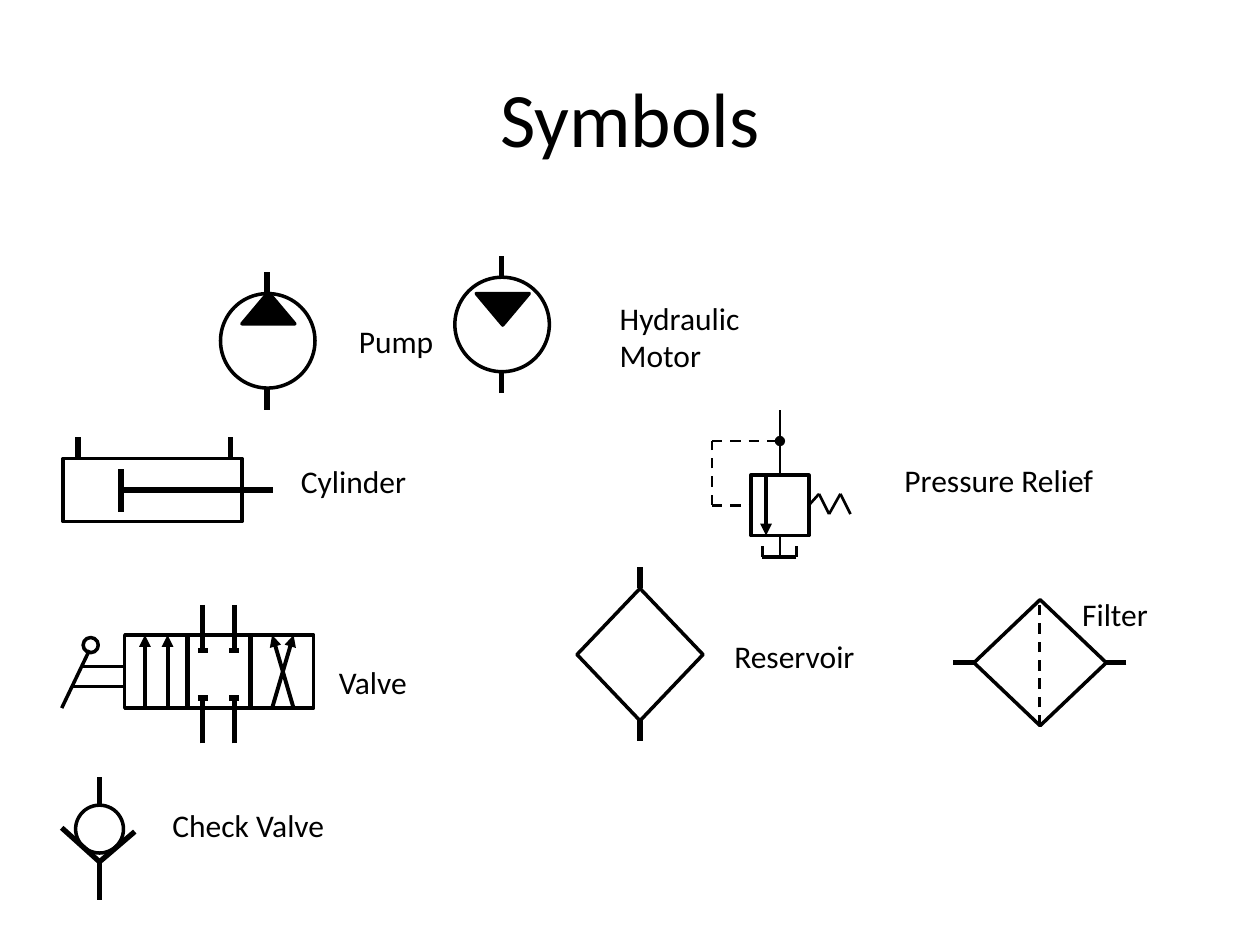
"""Build a slide of hydraulic circuit symbols with their labels."""
from lxml.etree import SubElement
from pptx import Presentation
from pptx.dml.color import RGBColor
from pptx.enum.dml import MSO_LINE_DASH_STYLE as Dash
from pptx.enum.shapes import MSO_CONNECTOR_TYPE as Link, MSO_SHAPE as Shape
from pptx.enum.text import MSO_ANCHOR as Anchor, MSO_AUTO_SIZE as Fit, PP_ALIGN as Align
from pptx.oxml.ns import qn
from pptx.util import Inches, Pt

BLACK, WHITE = (RGBColor.from_string(value) for value in ("000000", "FFFFFF"))
PORT, EDGE, ARROW, THIN = 3, 2, 2.25, 1.5


def outline(symbol, preset, box, fill=WHITE):
    body = symbol.shapes.add_shape(preset, *map(Inches, box))
    body.shadow.inherit = False
    body.fill.solid()
    body.fill.fore_color.rgb = fill
    body.line.color.rgb = BLACK
    body.line.width = Pt(EDGE)
    return body


def strokes(symbol, width, segments, tip=None, dash=None):
    for segment in segments:
        stroke = symbol.shapes.add_connector(Link.STRAIGHT, *map(Inches, segment))
        stroke.line.color.rgb = BLACK
        stroke.line.width = Pt(width)
        if dash:
            stroke.line.dash_style = dash
        properties = stroke._element.spPr
        if tip:
            SubElement(properties.find(qn("a:ln")), qn("a:tailEnd"), type=tip)
        SubElement(properties, qn("a:effectLst"))


deck = Presentation()
deck.slide_width, deck.slide_height = Inches(10), Inches(7.5)
slide = deck.slides.add_slide(deck.slide_layouts[5])

title = slide.shapes.title
title.left, title.top, title.width, title.height = map(Inches, (0.5, 0.3, 9, 1.25))
title.text_frame.text = "Symbols"
title.text_frame.vertical_anchor = Anchor.MIDDLE
heading = title.text_frame.paragraphs[0]
heading.alignment = Align.CENTER
heading.font.size, heading.font.name = Pt(44), "Calibri"
heading.font.color.rgb = BLACK

# pump and motor
for center, top, wedge_top, flipped in ((2.12, 2.33, 2.32, False), (3.98, 2.2, 2.33, True)):
    machine = slide.shapes.add_group_shape()
    outline(machine, Shape.OVAL, (center - 0.37, top, 0.75, 0.75))
    strokes(machine, PORT, [(center, y, center, y - 0.17) for y in (top, top + 0.92)])
    wedge = outline(machine, Shape.FLOWCHART_EXTRACT, (center - 0.2, wedge_top, 0.42, 0.25), BLACK)
    if flipped:
        wedge._element.spPr.xfrm.set("flipV", "1")

cylinder = slide.shapes.add_group_shape()
outline(cylinder, Shape.RECTANGLE, (0.5, 3.64, 1.42, 0.5))
strokes(cylinder, PORT, [(x, 3.64, x, 3.47) for x in (0.62, 1.83)])
strokes(cylinder, PORT, [(0.96, 3.89, 2.17, 3.89), (0.96, 4.06, 0.96, 3.72)])

valve = slide.shapes.add_group_shape()
outline(valve, Shape.OVAL, (0.66, 5.06, 0.12, 0.12))
outline(valve, Shape.RECTANGLE, (0.99, 5.04, 1.5, 0.58))
strokes(valve, PORT, [(x, 5.62, x, 5.04) for x in (1.49, 1.99)])
strokes(valve, ARROW, [(start, 5.62, end, 5.04) for start, end in
                       ((1.15, 1.15), (1.33, 1.33), (2.16, 2.33), (2.33, 2.16))], "triangle")
for x in (1.61, 1.86):
    for outer, inner in ((4.8, 5.16), (5.9, 5.54)):
        strokes(valve, PORT, [(x, outer, x, inner), (x - 0.04, inner, x + 0.04, inner)])
strokes(valve, EDGE, [(0.99, 5.29, 0.66, 5.29), (0.99, 5.45, 0.58, 5.45),
                      (0.71, 5.16, 0.49, 5.62)])

check_valve = slide.shapes.add_group_shape()
strokes(check_valve, PORT, [(0.79, 6.46, 0.79, 6.17)])
outline(check_valve, Shape.OVAL, (0.6, 6.39, 0.38, 0.38))
strokes(check_valve, PORT, [(0.79, 6.84, x, y) for x, y in
                            ((0.49, 6.57), (1.07, 6.6), (0.79, 7.14))])

relief = slide.shapes.add_group_shape()
outline(relief, Shape.RECTANGLE, (5.96, 3.77, 0.46, 0.48))
strokes(relief, ARROW, [(6.08, 3.77, 6.08, 4.25)], "triangle")
strokes(relief, THIN, [(5.65, 4.01, 5.96, 4.01), (5.65, 4.01, 5.65, 3.5)], dash=Dash.DASH)
strokes(relief, THIN, [(5.65, 3.5, 6.19, 3.5)], "oval", Dash.DASH)
strokes(relief, THIN, [(6.19, 3.77, 6.19, 3.25), (6.19, 4.42, 6.19, 4.25)])
strokes(relief, EDGE, [(6.32, 4.42, 6.05, 4.42)])
strokes(relief, EDGE, [(x, 4.42, x, 4.33) for x in (6.32, 6.05)])
spring = [(6.42, 4.01), (6.5, 3.92), (6.58, 4.08), (6.67, 3.92), (6.75, 4.08)]
strokes(relief, THIN, [start + end for start, end in zip(spring, spring[1:])])

reservoir = slide.shapes.add_group_shape()
outline(reservoir, Shape.DIAMOND, (4.58, 4.67, 1, 1.05))
strokes(reservoir, PORT, [(5.08, y, 5.08, y - 0.17) for y in (4.67, 5.88)])

strainer = slide.shapes.add_group_shape()
outline(strainer, Shape.DIAMOND, (7.73, 4.76, 1.05, 1))
strokes(strainer, PORT, [(x, 5.26, x - 0.17, 5.26) for x in (7.73, 8.94)])
strokes(strainer, THIN, [(8.25, 5.76, 8.25, 4.76)], dash=Dash.DASH)

for name, *box in (
    ("Pump", 2.75, 2.51, 0.8, 0.4),
    ("Hydraulic\vMotor", 4.82, 2.32, 1.16, 0.71),
    ("Cylinder", 2.29, 3.62, 1.05, 0.4),
    ("Valve", 2.59, 5.21, 0.75, 0.4),
    ("Check Valve", 1.27, 6.35, 1.42, 0.4),
    ("Pressure Relief", 7.08, 3.61, 1.72, 0.4),
    ("Reservoir", 5.73, 5.01, 1.17, 0.4),
    ("Filter", 8.49, 4.67, 0.73, 0.4),
):
    label = slide.shapes.add_textbox(*map(Inches, box)).text_frame
    label.text = name
    label.word_wrap = False
    label.auto_size = Fit.SHAPE_TO_FIT_TEXT
    caption = label.paragraphs[0].font
    caption.size, caption.name = Pt(18), "Calibri"
    caption.color.rgb = BLACK

deck.save("out.pptx")
